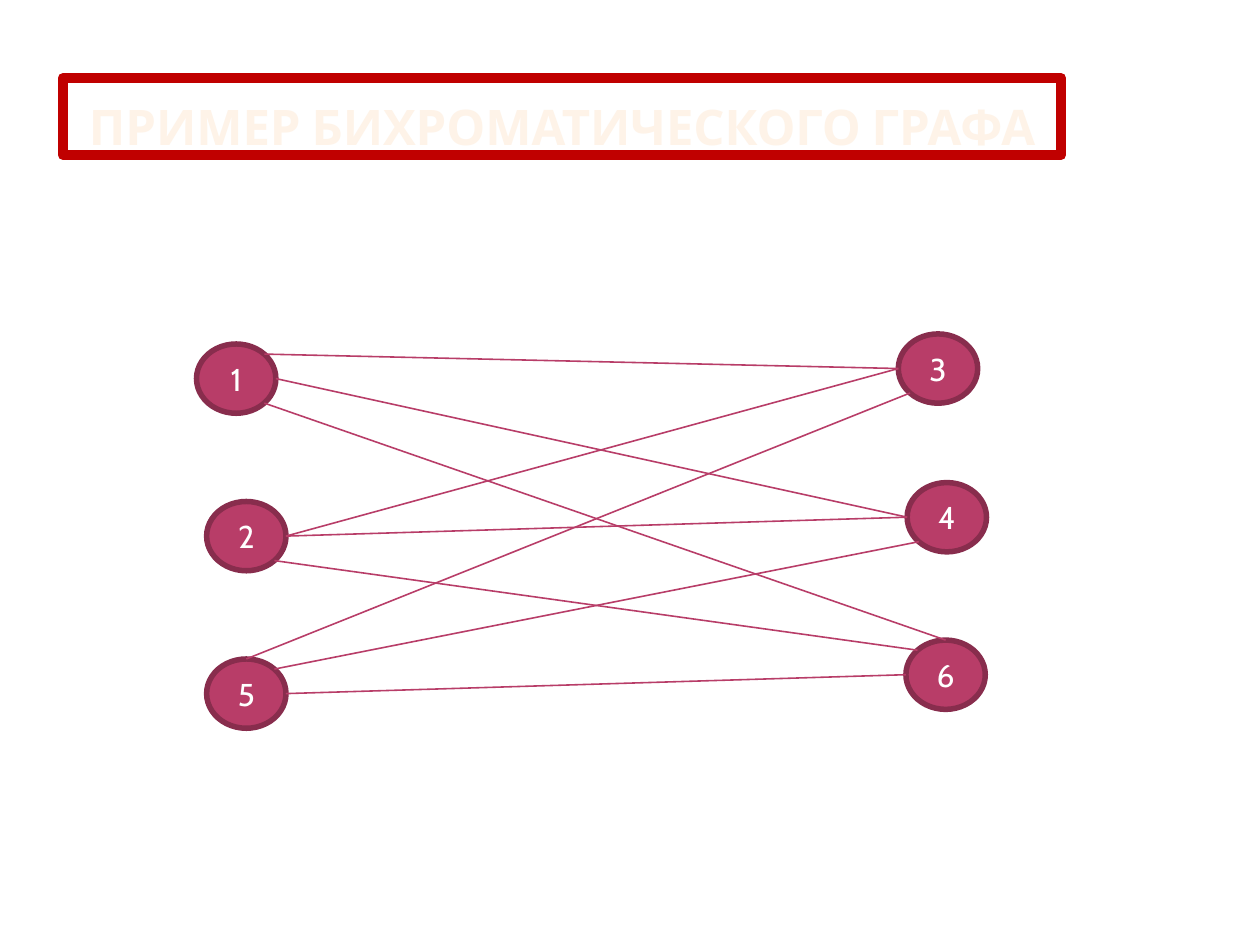
"""Build a slide with an example of a bichromatic graph."""
import math
from dataclasses import dataclass

from lxml import etree
from pptx import Presentation
from pptx.dml.color import RGBColor
from pptx.enum import shapes, text
from pptx.oxml.ns import qn
from pptx.util import Inches, Pt


@dataclass(frozen=True)
class Theme:
    """Colours, font and type sizes of the slide."""
    font: str = "Cabin"
    title_size: float = 28
    node_size: float = 18
    title_text: str = "FEF3E8"
    title_line: str = "C00000"
    node_fill: str = "B83D68"
    node_line: str = "882D4D"
    node_text: str = "FFFFFF"


THEME = Theme()
NODE_W, NODE_H = 0.63, 0.55
NODES = {
    "1": (1.56, 2.73), "2": (1.64, 3.98), "5": (1.64, 5.23),
    "3": (7.13, 2.65), "4": (7.2, 3.83), "6": (7.19, 5.08),
}
ANGLES = {
    "right": 0, "top right": 45, "top": 90, "top left": 135,
    "left": 180, "bottom left": 225, "bottom right": 315,
}
EDGES = [
    ("1", "top right", "3", "left"),
    ("1", "right", "4", "left"),
    ("1", "bottom right", "6", "top"),
    ("2", "right", "3", "left"),
    ("2", "right", "4", "left"),
    ("2", "bottom right", "6", "top left"),
    ("5", "top", "3", "bottom left"),
    ("5", "top right", "4", "bottom left"),
    ("5", "right", "6", "left"),
]


def rgb(value):
    """Return a colour from its hex value."""
    return RGBColor.from_string(value)


def set_line(sp, color, width):
    """Give a shape or connector a solid line."""
    sp.line.color.rgb = rgb(color)
    sp.line.width = Pt(width)


def add_label(sp, label, size, color, anchor, bold=False):
    """Write one centred run into a shape."""
    tf = sp.text_frame
    tf.word_wrap = True
    tf.vertical_anchor = anchor
    p = tf.paragraphs[0]
    p.alignment = text.PP_ALIGN.CENTER
    r = p.add_run()
    r.text = label
    r.font.name = THEME.font
    r.font.size = Pt(size)
    r.font.bold = bold
    r.font.color.rgb = rgb(color)


def add_title(s, label):
    """Add the framed title."""
    sp = s.shapes.add_shape(shapes.MSO_SHAPE.RECTANGLE, Inches(0.5),
                            Inches(0.62), Inches(7.92), Inches(0.61))
    sp.shadow.inherit = False
    sp.fill.background()
    set_line(sp, THEME.title_line, 6)
    etree.SubElement(sp.line._get_or_add_ln(), qn("a:round"))
    tf = sp.text_frame
    tf.margin_left = tf.margin_right = Inches(0.05)
    tf.margin_top = tf.margin_bottom = 0
    add_label(sp, label, THEME.title_size, THEME.title_text,
              text.MSO_ANCHOR.BOTTOM, bold=True)


def add_node(s, label, left, top):
    """Add one numbered vertex."""
    sp = s.shapes.add_shape(shapes.MSO_SHAPE.OVAL, Inches(left), Inches(top),
                            Inches(NODE_W), Inches(NODE_H))
    sp.shadow.inherit = False
    sp.fill.solid()
    sp.fill.fore_color.rgb = rgb(THEME.node_fill)
    set_line(sp, THEME.node_line, 3.15)
    add_label(sp, label, THEME.node_size, THEME.node_text,
              text.MSO_ANCHOR.MIDDLE)


def rim_point(node, side):
    """Return the point on a vertex rim at a named side."""
    left, top = NODES[node]
    angle = math.radians(ANGLES[side])
    return (Inches(left + NODE_W / 2 * (1 + math.cos(angle))),
            Inches(top + NODE_H / 2 * (1 - math.sin(angle))))


def add_edge(s, start, start_side, end, end_side):
    """Join two vertices with a straight line."""
    sp = s.shapes.add_connector(shapes.MSO_CONNECTOR.STRAIGHT,
                                *rim_point(start, start_side),
                                *rim_point(end, end_side))
    set_line(sp, THEME.node_fill, 0.9)
    etree.SubElement(sp._element.spPr, qn("a:effectLst"))


def main():
    """Build and save the slide."""
    prs = Presentation()
    prs.slide_width, prs.slide_height = Inches(10), Inches(7.5)
    s = prs.slides.add_slide(prs.slide_layouts[6])
    add_title(s, "ПРИМЕР БИХРОМАТИЧЕСКОГО ГРАФА")
    for label, (left, top) in NODES.items():
        add_node(s, label, left, top)
    for edge in EDGES:
        add_edge(s, *edge)
    prs.save("out.pptx")


main()
